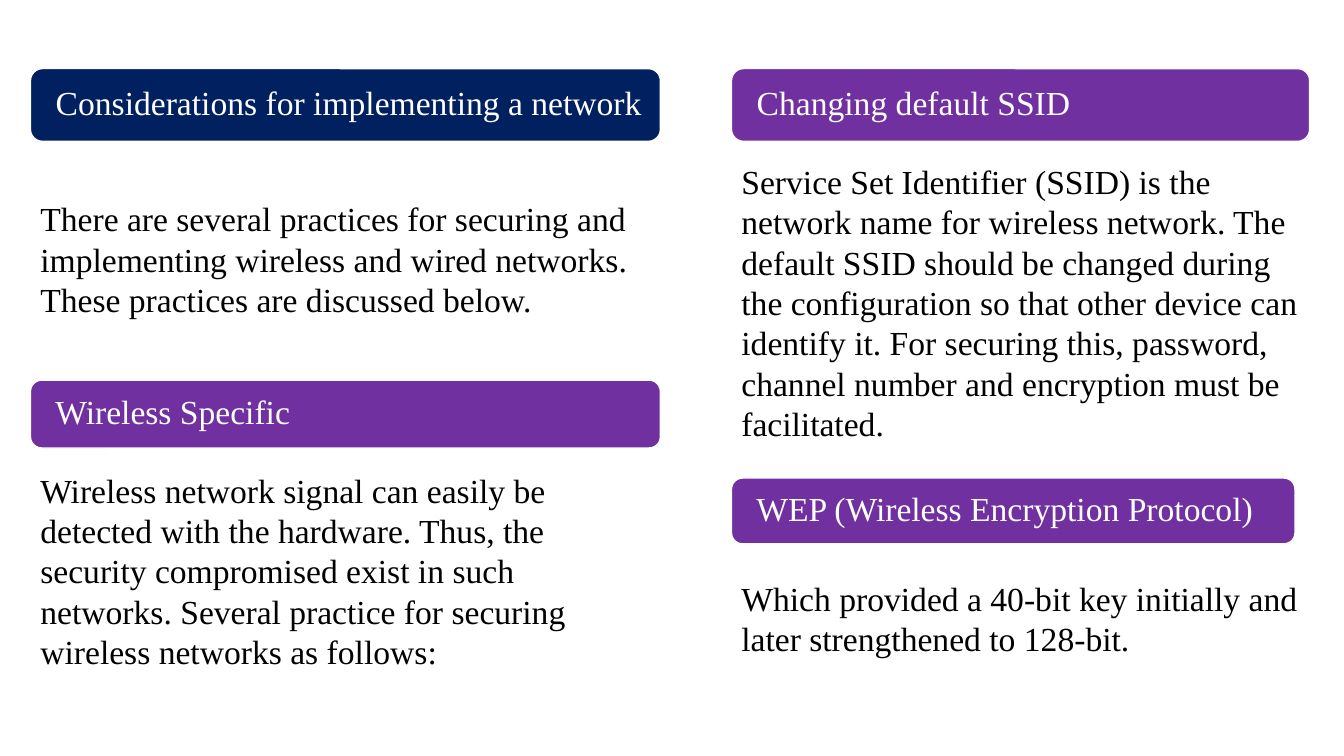
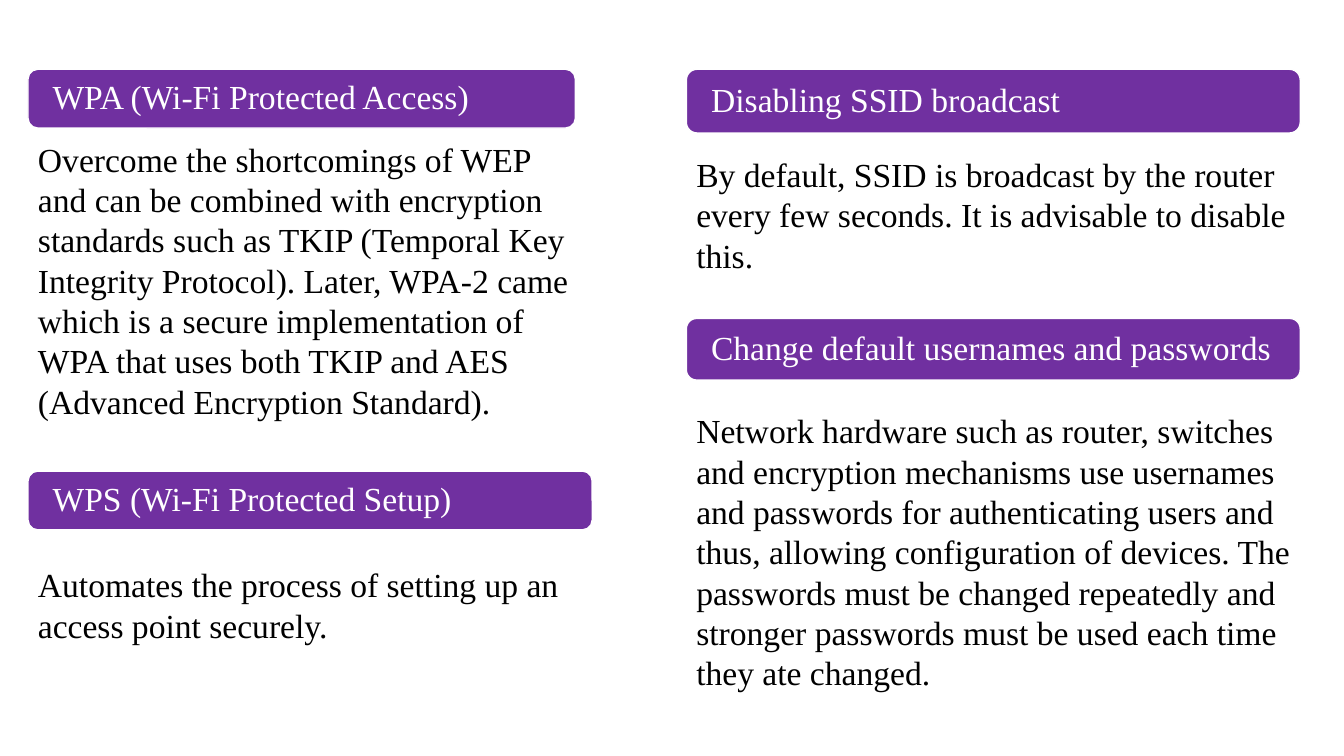
from pptx import Presentation
from pptx.dml.color import RGBColor
from pptx.enum.shapes import MSO_SHAPE
from pptx.enum.text import MSO_ANCHOR, PP_ALIGN
from pptx.util import Pt

ROUND = MSO_SHAPE.ROUNDED_RECTANGLE
MIDDLE = MSO_ANCHOR.MIDDLE
LEFT = PP_ALIGN.LEFT
NAVY, PURPLE, WHITE, BLACK = "002060", "7030A0", "FFFFFF", "000000"


def color(code):
    return RGBColor.from_string(code)


class Deck:
    font = "Times New Roman"
    size = 24

    def __init__(self):
        self.show = Presentation()
        self.show.slide_width = Pt(960)
        self.show.slide_height = Pt(540)
        self.slide = None

    def page(self):
        self.slide = self.show.slides.add_slide(self.show.slide_layouts[6])

    def label(self, frame, text, ink):
        frame.word_wrap = True
        frame.text = text
        para = frame.paragraphs[0]
        para.alignment = LEFT
        font = para.runs[0].font
        font.name = self.font
        font.size = Pt(self.size)
        font.color.rgb = color(ink)
        return para

    def band(self, text, left, top, width, height, fill=PURPLE):
        shape = self.slide.shapes.add_shape(
            ROUND, Pt(left), Pt(top), Pt(width), Pt(height))
        shape.shadow.inherit = False
        shape.fill.solid()
        shape.fill.fore_color.rgb = color(fill)
        shape.line.color.rgb = color(WHITE)
        shape.line.width = Pt(1)
        frame = shape.text_frame
        frame.vertical_anchor = MIDDLE
        frame.margin_left = Pt(15.5)
        frame.margin_right = Pt(7)
        self.label(frame, text, WHITE).line_spacing = 0.9

    def body(self, text, left, top, width, lines):
        box = self.slide.shapes.add_textbox(
            Pt(left), Pt(top), Pt(width), Pt(lines * 28.8 + 7.2))
        self.label(box.text_frame, text, BLACK)


def main():
    deck = Deck()

    deck.page()
    left, width = 21.75, 450
    deck.band("Considerations for implementing a network",
              left, 49, width, 52, NAVY)
    deck.body("There are several practices for securing and implementing "
              "wireless and wired networks. These practices are discussed "
              "below.", left, 138, width, 3)
    deck.band("Wireless Specific", left, 271.5, width, 48.5)
    deck.body("Wireless network signal can easily be detected with the "
              "hardware. Thus, the security compromised exist in such "
              "networks. Several practice for securing wireless networks "
              "as follows:", left, 332, width, 5)

    left, width = 522.5, 413
    deck.band("Changing default SSID", left, 49, width, 52)
    deck.body("Service Set Identifier (SSID) is the network name for "
              "wireless network. The default SSID should be changed during "
              "the configuration so that other device can identify it. For "
              "securing this, password, channel number and encryption must "
              "be facilitated.", left, 111.5, width, 7)
    deck.band("WEP (Wireless Encryption Protocol)", left, 341.5, 402.5, 47)
    deck.body("Which provided a 40-bit key initially and later strengthened "
              "to 128-bit.", left, 409, width, 2)

    deck.page()
    left, slim, width = 20, 391, 403
    deck.band("WPA (Wi-Fi Protected Access)", left, 49.5, slim, 42)
    deck.body("Overcome the shortcomings of WEP and can be combined with "
              "encryption standards such as TKIP (Temporal Key Integrity "
              "Protocol). Later, WPA-2 came which is a secure implementation "
              "of WPA that uses both TKIP and AES (Advanced Encryption "
              "Standard).", left, 95.5, width, 7)
    deck.band("WPS (Wi-Fi Protected Setup)", left, 336.5, width, 42)
    deck.body("Automates the process of setting up an access point "
              "securely.", left, 399.5, slim, 2)

    left, width = 490.25, 438.5
    deck.band("Disabling SSID broadcast", left, 49.5, width, 45.5)
    deck.body("By default, SSID is broadcast by the router every few "
              "seconds. It is advisable to disable this.",
              left, 106.5, width, 3)
    deck.band("Change default usernames and passwords",
              left, 227.5, width, 44)
    deck.body("Network hardware such as router, switches and encryption "
              "mechanisms use usernames and passwords for authenticating "
              "users and thus, allowing configuration of devices. The "
              "passwords must be changed repeatedly and stronger passwords "
              "must be used each time they ate changed.",
              left, 289.5, width, 7)

    deck.show.save("out.pptx")


if __name__ == "__main__":
    main()
